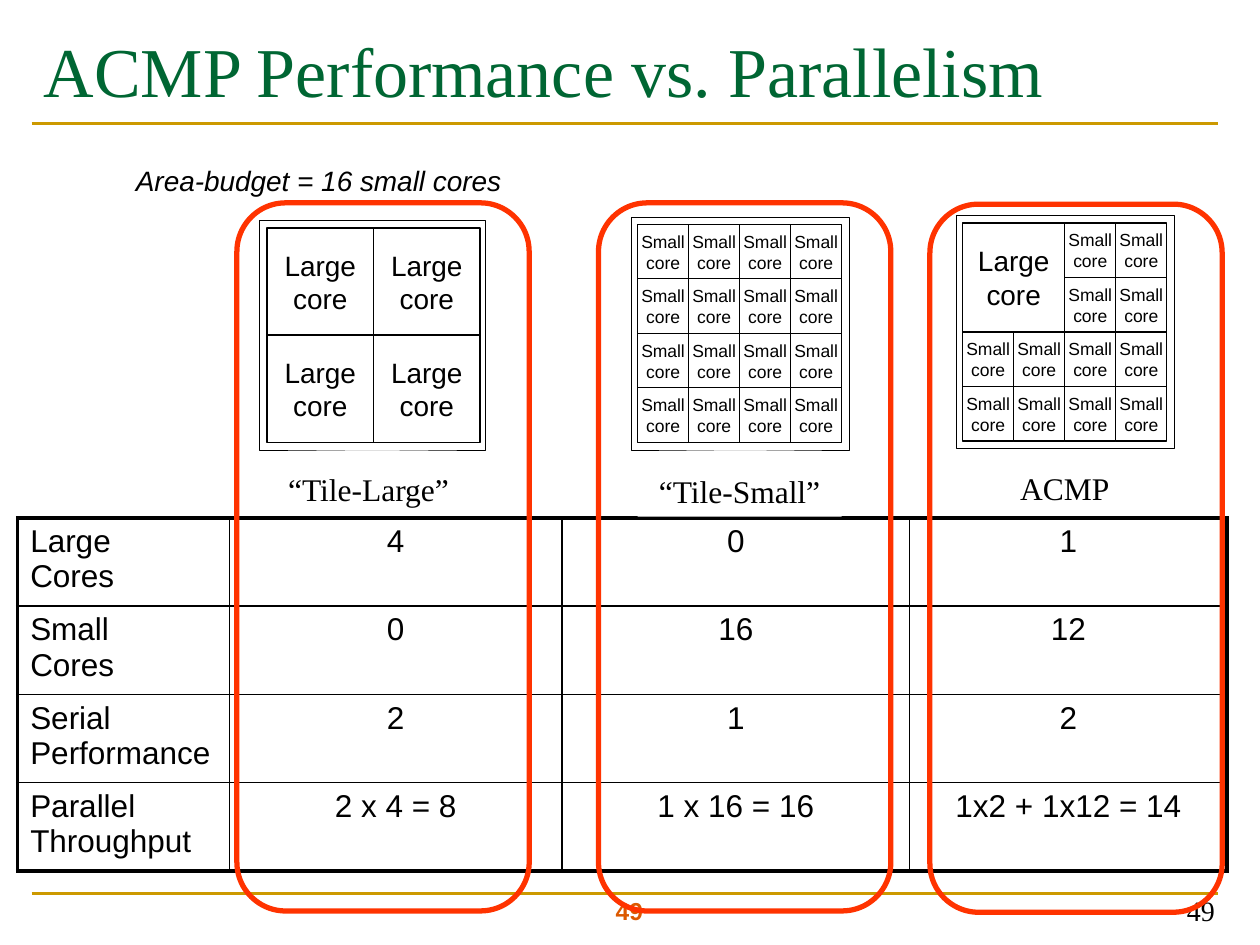
import copy
import pptx
import pptx.util
import pptx.dml.color
import pptx.enum.shapes
import pptx.enum.text
import pptx.oxml
import pptx.oxml.ns
from lxml import etree

Inches = pptx.util.Inches
Pt = pptx.util.Pt
RGBColor = pptx.dml.color.RGBColor
SHAPE = pptx.enum.shapes.MSO_SHAPE
ALIGN = pptx.enum.text.PP_ALIGN
ANCHOR = pptx.enum.text.MSO_ANCHOR
qn = pptx.oxml.ns.qn

BLACK = RGBColor(0x00, 0x00, 0x00)
WHITE = RGBColor(0xFF, 0xFF, 0xFF)
GREEN = RGBColor(0x00, 0x66, 0x33)
GOLD = RGBColor(0xCC, 0x99, 0x00)
ORANGE = RGBColor(0xDC, 0x59, 0x00)
RED = RGBColor(0xFF, 0x33, 0x00)
SERIF = "Times New Roman"


def write(tf, text, size=18, font="Arial", color=BLACK, align=ALIGN.LEFT,
          anchor=ANCHOR.TOP, bold=False, italic=False, wrap=True):
    tf.word_wrap = wrap
    tf.vertical_anchor = anchor
    p = tf.paragraphs[0]
    p.text = text
    p.alignment = align
    for r in p.runs:
        r.font.size = Pt(size)
        r.font.name = font
        r.font.color.rgb = color
        r.font.bold = bold
        r.font.italic = italic
    for br in p._p.findall(qn("a:br")):
        br.insert(0, copy.deepcopy(p.runs[0]._r.rPr))


def outline(shapes, kind, x, y, w, h, color, width):
    sp = shapes.add_shape(kind, Inches(x), Inches(y), Inches(w), Inches(h))
    sp.shadow.inherit = False
    sp.fill.background()
    sp.line.color.rgb = color
    sp.line.width = Pt(width)
    return sp


prs = pptx.Presentation()
prs.slide_width = Inches(10)
prs.slide_height = Inches(7.5)
s = prs.slides.add_slide(prs.slide_layouts[6])

for y in (7.09, 0.98):
    rule = s.shapes.add_connector(
        pptx.enum.shapes.MSO_CONNECTOR.STRAIGHT,
        Inches(0.25), Inches(y), Inches(9.67), Inches(y))
    rule.line.color.rgb = GOLD
    rule.line.width = Pt(1.5)
    etree.SubElement(rule._element.spPr, qn("a:effectLst"))

texts = [
    (0.25, 0.17, 9.42, 1.17, "ACMP Performance vs. Parallelism",
     dict(size=40, font=SERIF, color=GREEN)),
    (7.41, 6.91, 2.33, 0.5, "49",
     dict(size=16, font=SERIF, align=ALIGN.RIGHT, anchor=ANCHOR.BOTTOM)),
    (3.83, 7.06, 2.33, 0.35, "49",
     dict(size=14, color=ORANGE, align=ALIGN.CENTER, bold=True)),
    (0.98, 1.25, 7.92, 0.37, "Area-budget = 16 small cores",
     dict(size=16, italic=True)),
]
for x, y, w, h, text, style in texts:
    tb = s.shapes.add_textbox(Inches(x), Inches(y), Inches(w), Inches(h))
    write(tb.text_frame, text, **style)

rows = [
    ("Large\nCores", "4", "0", "1"),
    ("Small\nCores", "0", "16", "12"),
    ("Serial Performance", "2", "1", "2"),
    ("Parallel\nThroughput", "2 x 4 = 8", "1 x 16 = 16", "1x2 + 1x12 = 14"),
]
widths = (1.68, 2.64, 2.76, 2.52)
tbl = s.shapes.add_table(4, 4, Inches(0.14), Inches(4.11),
                         Inches(9.6), Inches(2.8)).table
tbl.first_row = False
tbl.horz_banding = False
for col, w in zip(tbl.columns, widths):
    col.width = Inches(w)
for i, row in enumerate(rows):
    tbl.rows[i].height = Inches(0.7)
    for j, text in enumerate(row):
        cell = tbl.cell(i, j)
        cell.fill.background()
        write(cell.text_frame, text, align=ALIGN.CENTER if j else ALIGN.LEFT)
        tcPr = cell._tc.get_or_add_tcPr()
        edges = (("L", j == 0), ("R", j == 3), ("T", i == 0), ("B", i == 3))
        for k, (side, outer) in enumerate(edges):
            ln = etree.Element(qn(f"a:ln{side}"),
                               w=str(Pt(2.25 if outer else 1)))
            fill = etree.SubElement(ln, qn("a:solidFill"))
            etree.SubElement(fill, qn("a:srgbClr"), val=str(BLACK))
            tcPr.insert(k, ln)

large_cores = [(c, r, 2) for r in (0, 2) for c in (0, 2)]
small_cores = [(c, r, 1) for r in range(4) for c in range(4)]
acmp_cores = [(0, 0, 2)] + [(c, r, 1) for c, r, n in small_cores
                            if c > 1 or r > 1]
chips = [
    ("“Tile-Large”", (2.06, 1.75, 1.79, 1.82), (2.12, 1.81, 1.69, 1.7),
     (2, 3.68, 1.85, 0.4), large_cores),
    ("“Tile-Small”", (5.01, 1.72, 1.73, 1.85), (5.06, 1.78, 1.62, 1.73),
     (5.06, 3.7, 1.62, 0.4), small_cores),
    ("ACMP", (7.59, 1.71, 1.73, 1.85), (7.64, 1.77, 1.62, 1.73),
     (7.64, 3.67, 1.62, 0.4), acmp_cores),
]
for name, border, (x, y, w, h), label, cores in chips:
    chip = s.shapes.add_group_shape().shapes
    outline(chip, SHAPE.RECTANGLE, *border, BLACK, 0.25)
    for c, r, n in cores:
        core = outline(chip, SHAPE.RECTANGLE, x + c * w / 4, y + r * h / 4,
                       n * w / 4, n * h / 4, BLACK, 0.75)
        write(core.text_frame, "Large\ncore" if n == 2 else "Small\ncore",
              size=16 if n == 2 else 10, align=ALIGN.CENTER,
              anchor=ANCHOR.MIDDLE, wrap=False)
    caption = chip.add_textbox(*[Inches(v) for v in label])
    caption.fill.solid()
    caption.fill.fore_color.rgb = WHITE
    write(caption.text_frame, name, font=SERIF, align=ALIGN.CENTER)

for x, y in ((1.88, 1.61), (4.75, 1.61), (7.38, 1.62)):
    outline(s.shapes, SHAPE.FLOWCHART_ALTERNATE_PROCESS,
            x, y, 2.32, 5.62, RED, 3)

prs.save("out.pptx")
